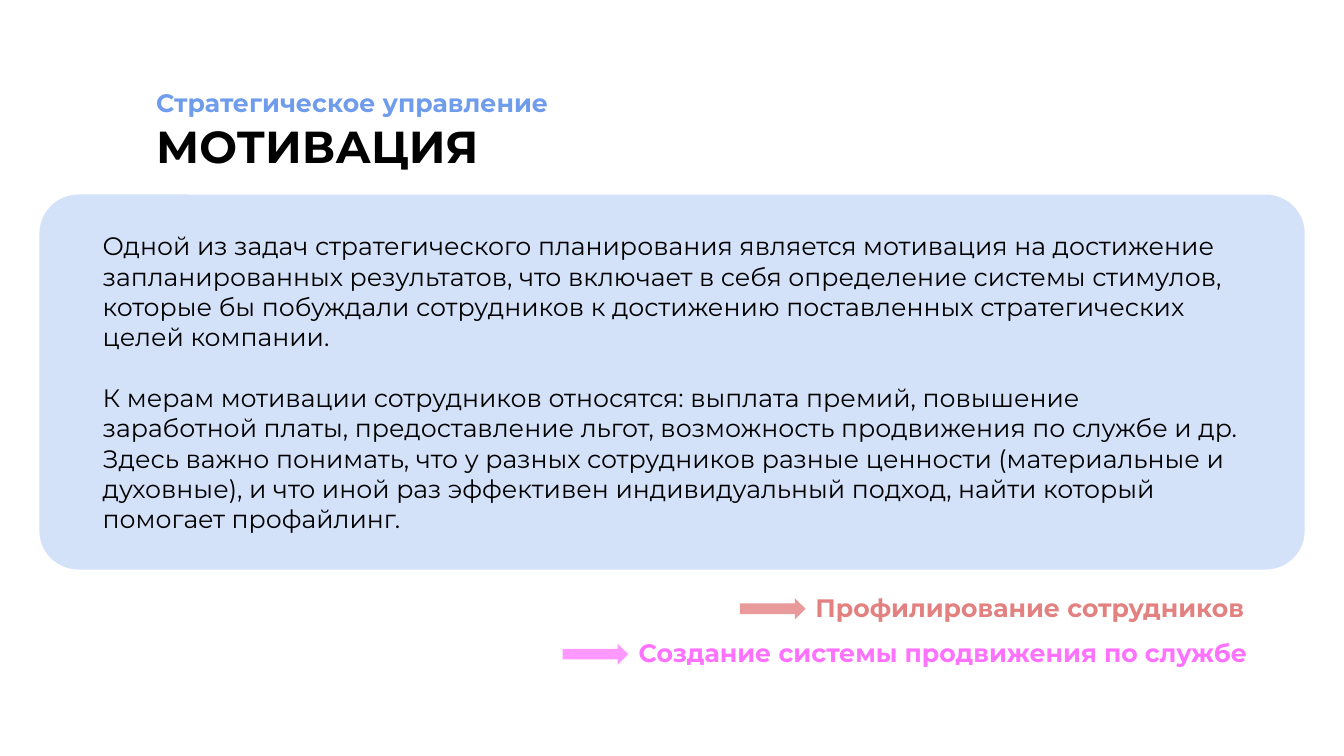
from pptx import Presentation
from pptx import util as u
from pptx.dml.color import RGBColor
from pptx.enum import shapes, text

KICKER = "Стратегическое управление"
TITLE = "МОТИВАЦИЯ"
BODY = [
    "Одной из задач стратегического планирования является мотивация на достижение "
    "запланированных результатов, что включает в себя определение системы стимулов, "
    "которые бы побуждали сотрудников к достижению поставленных стратегических целей "
    "компании.",
    "К мерам мотивации сотрудников относятся: выплата премий, повышение заработной "
    "платы, предоставление льгот, возможность продвижения по службе и др. Здесь важно "
    "понимать, что у разных сотрудников разные ценности (материальные и духовные), и "
    "что иной раз эффективен индивидуальный подход, найти который помогает профайлинг.",
]
STEPS = [
    {"label": "Профилирование сотрудников", "arrow": 55.06, "left": 59.11,
     "right": 93.85, "fill": "E99B9B", "ink": "E38181"},
    {"label": "Создание системы продвижения по службе", "arrow": 41.86, "left": 30.46,
     "right": 94.07, "fill": "FF99FF", "ink": "FF71FF"},
]
THEME = {"font": "Montserrat", "ink": "000000", "accent": "709CEC",
         "panel": "D3E1F9", "head": 32, "text": 18, "gap": 22}
WIDE, HIGH = 13.33, 7.5
STEP_TOP, STEP_ROW = 77, 6
KINDS = shapes.MSO_SHAPE
RIGHT = {"alignment": text.PP_ALIGN.RIGHT}
TIGHT = {"line_spacing": 0.9}

deck = Presentation()
deck.slide_width, deck.slide_height = u.Inches(WIDE), u.Inches(HIGH)
slide = deck.slides.add_slide(deck.slide_layouts[6])


def apply(item, values):
    for name, value in values.items():
        setattr(item, name, value)


def place(x, y, w, h):
    return [u.Inches(share * size / 100)
            for share, size in zip((x, y, w, h), (WIDE, HIGH, WIDE, HIGH))]


def draw(kind, area, fill):
    shape = slide.shapes.add_shape(kind, *place(*area))
    shape.shadow.inherit = False
    shape.fill.solid()
    shape.fill.fore_color.rgb = RGBColor.from_string(fill)
    shape.line.fill.background()
    return shape


def write(area, lines, ink, size="text", bold=True, style=TIGHT, side=0.1, pad=0.1,
          anchor=text.MSO_ANCHOR.MIDDLE):
    frame = slide.shapes.add_textbox(*place(*area)).text_frame
    apply(frame, {"word_wrap": True, "vertical_anchor": anchor,
                  "margin_left": u.Inches(0.1), "margin_right": u.Inches(side),
                  "margin_top": u.Inches(pad), "margin_bottom": u.Inches(pad)})
    for i, line in enumerate(lines):
        para = frame.add_paragraph() if i else frame.paragraphs[0]
        para.text = line
        apply(para, style)
        if i:
            para.space_before = u.Pt(THEME["gap"])
        apply(para.font, {"name": THEME["font"], "size": u.Pt(THEME[size]),
                          "bold": bold})
        para.font.color.rgb = RGBColor.from_string(ink)


write((10.88, 14.13, 33.53, 11.2), [TITLE], THEME["ink"], size="head")
panel = draw(KINDS.ROUNDED_RECTANGLE, (2.93, 25.73, 94.15, 49.6), THEME["panel"])
panel.adjustments[0] = 0.104
write((6.9, 29.87, 86.12, 41.73), BODY, THEME["ink"], bold=False, style={},
      pad=0.05, anchor=text.MSO_ANCHOR.TOP)
write((10.88, 11.07, 39.16, 5.33), [KICKER], THEME["accent"])

for i, step in enumerate(STEPS):
    top = STEP_TOP + i * STEP_ROW
    draw(KINDS.RIGHT_ARROW, (step["arrow"], top + 2.13, 4.88, 2.8), step["fill"])
    write((step["left"], top, step["right"] - step["left"], 7.2), [step["label"]],
          step["ink"], style=TIGHT | RIGHT, side=0.17)

deck.save("out.pptx")
